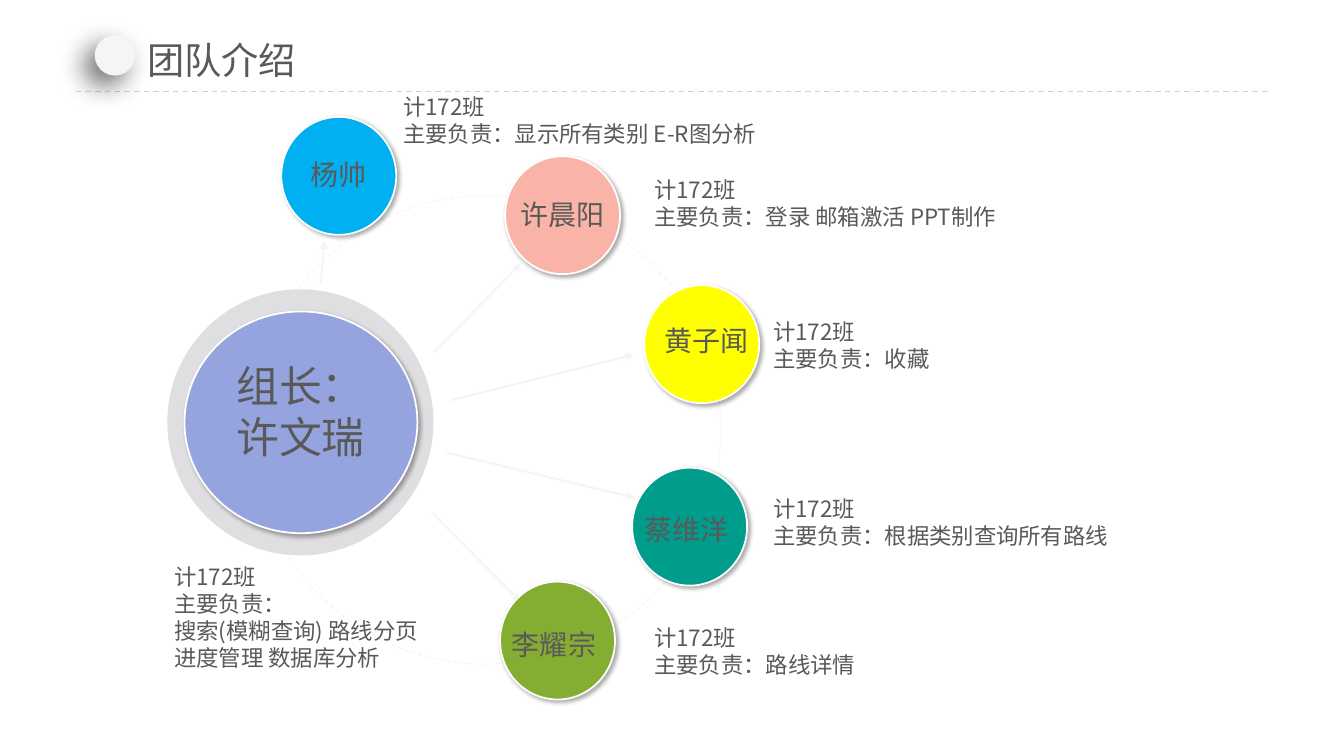
from pptx import Presentation
from pptx.dml.color import RGBColor
from pptx.enum.dml import MSO_LINE
from pptx.enum.shapes import MSO_CONNECTOR, MSO_SHAPE
from pptx.enum.text import PP_ALIGN
from pptx.oxml import parse_xml
from pptx.oxml.ns import nsdecls, qn
from pptx.util import Inches, Pt
from lxml.etree import SubElement

TEXT = RGBColor(0x59, 0x59, 0x59)
WHITE = RGBColor(0xFF, 0xFF, 0xFF)
PALE = RGBColor(0xF5, 0xF5, 0xF5)
RING = RGBColor(0xDF, 0xDF, 0xE1)
RULE = RGBColor(0xD0, 0xD0, 0xD0)
LILAC = RGBColor(0x95, 0xA4, 0xDE)
BLUE = RGBColor(0x00, 0xB0, 0xF0)
PINK = RGBColor(0xF9, 0xB3, 0xA7)
YELLOW = RGBColor(0xFF, 0xFF, 0x00)
TEAL = RGBColor(0x00, 0x9D, 0x8C)
GREEN = RGBColor(0x85, 0xAD, 0x32)
SC, JP = "Noto Sans CJK SC", "Noto Sans CJK JP"
SOFT = (32, 3, 2, 45)
DEEP = (60, 20, 10, 135)

prs = Presentation()
prs.slide_width, prs.slide_height = Inches(13.33), Inches(7.5)
s = prs.slides.add_slide(prs.slide_layouts[6])


def add_circle(x, y, w, h, fill=None, line=None, shadow=None):
    """Draw an ellipse; shadow is (opacity %, blur pt, distance pt, degrees)."""
    sp = s.shapes.add_shape(MSO_SHAPE.OVAL, Inches(x), Inches(y), Inches(w), Inches(h))
    sp.shadow.inherit = False
    if fill is None:
        sp.fill.background()
    else:
        sp.fill.solid()
        sp.fill.fore_color.rgb = fill
    if line is None:
        sp.line.fill.background()
    else:
        sp.line.color.rgb = line
        sp.line.width = Pt(1.25)
    if shadow:
        alpha, blur, dist, angle = shadow
        sp._element.spPr.find(qn("a:effectLst")).append(parse_xml(
            f'<a:outerShdw {nsdecls("a")} blurRad="{Pt(blur)}" dist="{Pt(dist)}" '
            f'dir="{angle * 60000}" algn="ctr" rotWithShape="0"><a:srgbClr val="000000">'
            f'<a:alpha val="{alpha * 1000}"/></a:srgbClr></a:outerShdw>'))
    return sp


def add_text(x, y, w, h, lines, size, align=PP_ALIGN.LEFT, font=SC):
    tf = s.shapes.add_textbox(Inches(x), Inches(y), Inches(w), Inches(h)).text_frame
    tf.word_wrap = True
    tf.text = "\n".join(lines)
    for p in tf.paragraphs:
        p.alignment = align
        p.line_spacing = Pt(round(size * 1.2, 1))
        p.font.size = Pt(size)
        p.font.color.rgb = TEXT
        p.font.name = font
        SubElement(p._p.pPr.find(qn("a:defRPr")), qn("a:ea"), typeface=font)
    return tf


orbit = add_circle(2.49, 1.94, 4.66, 4.65, line=PALE)
orbit.line.width = Pt(0)
orbit.line.dash_style = MSO_LINE.DASH

# Title
divider = s.shapes.add_connector(MSO_CONNECTOR.STRAIGHT, Inches(0.75), Inches(0.91),
                                 Inches(12.58), Inches(0.91))
divider.line.color.rgb = RULE
divider.line.width = Pt(1)
divider.line.dash_style = MSO_LINE.DASH
SubElement(divider._element.spPr, qn("a:effectLst"))
add_circle(0.94, 0.35, 0.4, 0.4, PALE, shadow=DEEP)
title = add_text(1.33, 0.3, 1.76, 0.58, ["团队介绍"], 26.6, font=JP)
title.word_wrap = False
title.margin_left = title.margin_right = Inches(0.13)
title.margin_top = title.margin_bottom = Inches(0.07)

# Arrows: tip beside the member, end beside the leader
for tip_x, tip_y, end_x, end_y in [
    (3.22, 2.39, 3.18, 2.82),
    (5.17, 2.61, 4.31, 3.49),
    (6.29, 3.52, 4.47, 3.97),
    (6.3, 4.94, 4.43, 4.49),
    (5.16, 5.97, 4.29, 5.09),
]:
    arrow = s.shapes.add_connector(MSO_CONNECTOR.STRAIGHT, Inches(tip_x), Inches(tip_y),
                                   Inches(end_x), Inches(end_y))
    arrow.line.color.rgb = PALE
    arrow.line.width = Pt(1.5)
    SubElement(arrow.line._get_or_add_ln(), qn("a:headEnd"), type="triangle")
    SubElement(arrow._element.spPr, qn("a:effectLst"))

# Leader
add_circle(1.66, 2.87, 2.64, 2.64, RING)
add_circle(1.83, 3.09, 2.31, 2.2, LILAC, WHITE, SOFT)
add_text(2.22, 3.52, 1.52, 1.13, ["组长：许文瑞"], 30.6, PP_ALIGN.CENTER)
add_text(1.63, 5.54, 3.02, 1.18,
         ["计172班", "主要负责：", "搜索(模糊查询) 路线分页", "进度管理 数据库分析"], 16)

# Members: name, colour, circle corner, name corner, note corner, note width, duty
for name, color, circle, label, note, note_w, duty in [
    ("杨帅", BLUE, (2.79, 1.16), (2.76, 1.51), (3.9, 0.88), 5.04, "显示所有类别 E-R图分析"),
    ("许晨阳", PINK, (5.01, 1.55), (4.98, 1.91), (6.39, 1.7), 5.04, "登录 邮箱激活 PPT制作"),
    ("黄子闻", YELLOW, (6.39, 2.83), (6.41, 3.16), (7.57, 3.11), 3.86, "收藏"),
    ("蔡维洋", TEAL, (6.27, 4.64), (6.21, 5.04), (7.57, 4.86), 3.86, "根据类别查询所有路线"),
    ("李耀宗", GREEN, (4.96, 5.77), (4.9, 6.18), (6.39, 6.14), 4.88, "路线详情"),
]:
    add_circle(*circle, 1.14, 1.17, color, WHITE, SOFT)
    add_text(*label, 1.19, 0.44, [name], 20, PP_ALIGN.CENTER)
    add_text(*note, note_w, 0.64, ["计172班", f"主要负责：{duty}"], 16)

prs.save("out.pptx")
